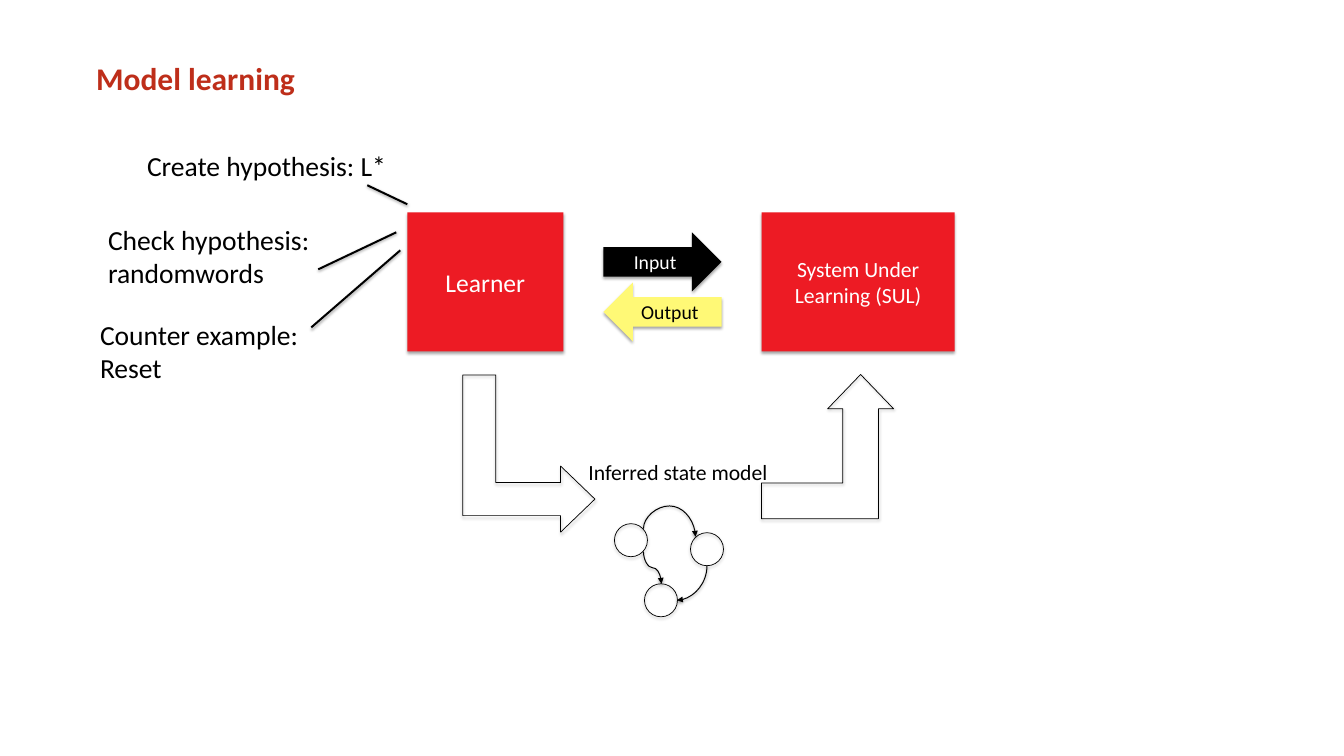
from lxml.etree import SubElement
from pptx import Presentation
from pptx.dml.color import RGBColor
from pptx.enum.shapes import MSO_CONNECTOR as LINK, MSO_SHAPE as SHAPE
from pptx.enum.text import MSO_ANCHOR as ANCHOR, MSO_AUTO_SIZE as FIT, PP_ALIGN as ALIGN
from pptx.oxml.ns import qn
from pptx.util import Emu, Pt

PX = 914400 / 70.8
FONT = "Calibri"
BLACK = RGBColor(0x00, 0x00, 0x00)
WHITE = RGBColor(0xFF, 0xFF, 0xFF)
RED = RGBColor(0xED, 0x1B, 0x24)
YELLOW = RGBColor(0xFF, 0xF9, 0x76)
TITLE_RED = RGBColor(0xBE, 0x2E, 0x1A)
STATE_SIZE = 33


def px(*lengths):
    return [Emu(round(length * PX)) for length in lengths]


def write(frame, text, size, color=BLACK, bold=False, align=ALIGN.LEFT, anchor=ANCHOR.TOP):
    frame.vertical_anchor = anchor
    for number, line in enumerate(text.split("\n")):
        para = frame.add_paragraph() if number else frame.paragraphs[0]
        para.alignment = align
        span = para.add_run()
        span.text = line
        span.font.name = FONT
        span.font.size = Pt(size)
        span.font.bold = bold
        span.font.color.rgb = color


def add_shadow(item, opacity, distance):
    """Give a shape or connector a soft shadow straight below it."""
    effects = SubElement(item.element.spPr, qn("a:effectLst"))
    outer = SubElement(effects, qn("a:outerShdw"), blurRad=str(Pt(3.1)),
                       dist=str(Pt(distance)), dir="5400000", rotWithShape="0")
    color = SubElement(outer, qn("a:srgbClr"), val=str(BLACK))
    SubElement(color, qn("a:alpha"), val=str(opacity * 1000))


def add_title(page, text):
    title = page.shapes.title
    title.left, title.top, title.width, title.height = px(93, 56, 1153, 84)
    frame = title.text_frame
    frame.auto_size = FIT.NONE
    (frame.margin_left, frame.margin_top,
     frame.margin_right, frame.margin_bottom) = px(3, 3, 3, 3)
    write(frame, text, 32, TITLE_RED, bold=True)


def add_label(page, place, text, size, wrap=False):
    frame = page.shapes.add_textbox(*px(*place)).text_frame
    frame.word_wrap = wrap
    frame.auto_size = FIT.SHAPE_TO_FIT_TEXT
    write(frame, text, size)


def add_filled(page, kind, place, fill, text, size, color=WHITE):
    box = page.shapes.add_shape(kind, *px(*place))
    box.fill.solid()
    box.fill.fore_color.rgb = fill
    box.line.fill.background()
    add_shadow(box, 35, 1.8)
    write(box.text_frame, text, size, color, align=ALIGN.CENTER, anchor=ANCHOR.MIDDLE)


def add_outlined(page, kind, place, adjustments=(), rotation=0):
    outline = page.shapes.add_shape(kind, *px(*place))
    for number, value in enumerate(adjustments):
        outline.adjustments[number] = value
    outline.rotation = rotation
    outline.fill.background()
    outline.line.color.rgb = BLACK
    outline.line.width = Pt(0.75)
    add_shadow(outline, 35, 1.8)


def add_line(page, kind, ends, width):
    line = page.shapes.add_connector(kind, *px(*ends))
    line.line.color.rgb = BLACK
    line.line.width = Pt(width)
    add_shadow(line, 38, 1.6)
    return line


def add_transition(page, ends, rotation, preset, bend=None):
    """Draw a curved arrow; ends are its corners before the rotation."""
    curve = add_line(page, LINK.CURVE, ends, 1)
    properties = curve.element.spPr
    properties.find(qn("a:xfrm")).set("rot", str(rotation * 60000))
    geometry = properties.find(qn("a:prstGeom"))
    geometry.set("prst", preset)
    if bend is not None:
        SubElement(geometry.find(qn("a:avLst")), qn("a:gd"),
                   name="adj1", fmla=f"val {round(bend * 100000)}")
    SubElement(properties.find(qn("a:ln")), qn("a:tailEnd"), type="triangle")


def main():
    deck = Presentation()
    deck.slide_width, deck.slide_height = px(1343, 755)
    page = deck.slides.add_slide(deck.slide_layouts[5])
    add_title(page, "Model learning")

    add_filled(page, SHAPE.RECTANGLE, (407, 212, 156, 139), RED, "Learner", 26)
    add_filled(page, SHAPE.RECTANGLE, (761, 212, 193, 139), RED,
               "System Under Learning (SUL)", 22)
    add_filled(page, SHAPE.RIGHT_ARROW, (603, 232, 118, 59), BLACK, "Input", 20)
    add_filled(page, SHAPE.LEFT_ARROW, (603, 282, 118, 59), YELLOW, "Output", 20, BLACK)

    add_outlined(page, SHAPE.BENT_UP_ARROW, (450, 387, 157, 132), (0.25, 0.25, 0.26), 90)
    add_outlined(page, SHAPE.BENT_UP_ARROW, (761, 374, 132, 144), (0.27, 0.25, 0.26))

    for left, top in ((690, 532), (644, 583), (614, 523)):
        add_outlined(page, SHAPE.OVAL, (left, top, STATE_SIZE, STATE_SIZE))
    add_transition(page, (673, 506, 665, 558), 270, "curvedConnector3", -2.84)
    add_transition(page, (674, 567, 709, 597), 90, "curvedConnector2")
    add_transition(page, (668, 558, 636, 576), 270, "curvedConnector3", 0.5)
    add_label(page, (581, 455, 207, 33), "Inferred state model", 22, wrap=True)

    add_label(page, (140, 145, 256, 40), "Create hypothesis: L*", 28)
    add_label(page, (101, 219, 217, 74), "Check hypothesis:\nrandomwords", 28)
    add_label(page, (93, 314, 217, 74), "Counter example:\nReset", 28, wrap=True)
    for ends in ((367, 185, 407, 204), (318, 269, 396, 232), (311, 327, 400, 250)):
        add_line(page, LINK.STRAIGHT, ends, 2)

    deck.save("out.pptx")


if __name__ == "__main__":
    main()
